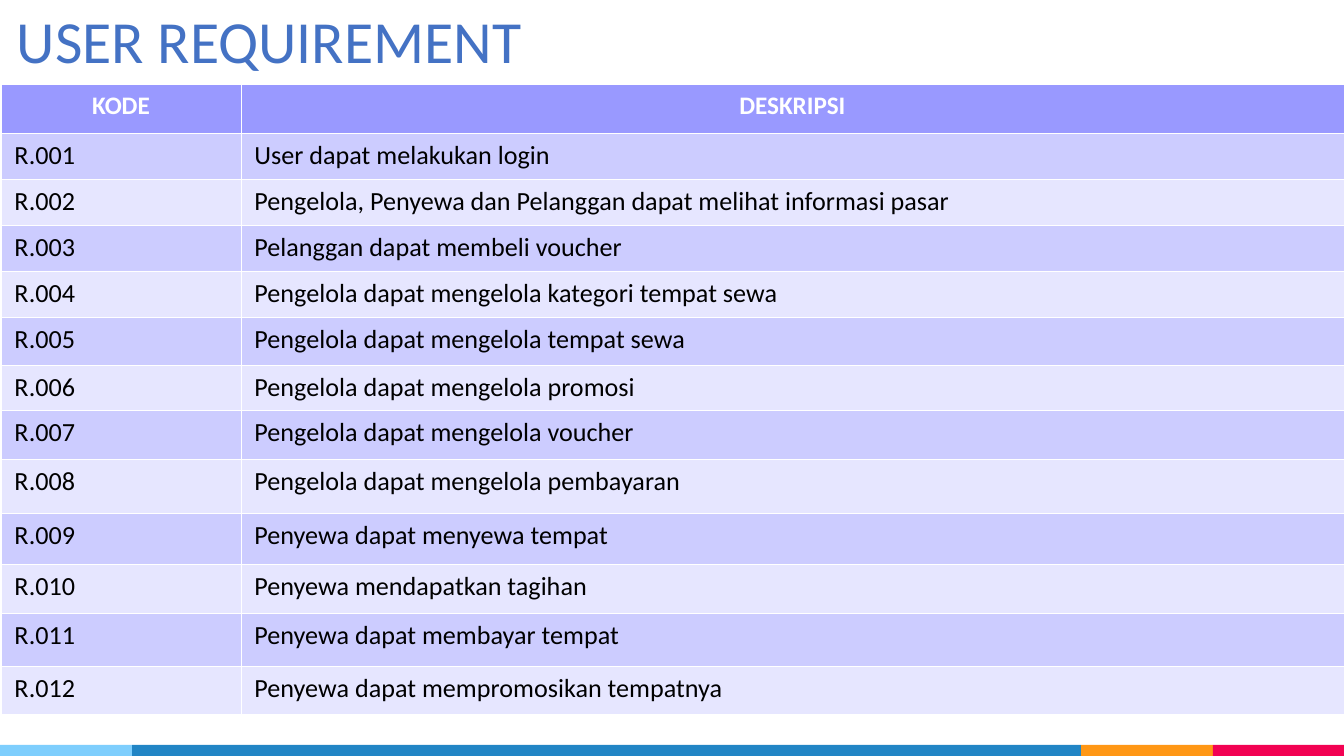
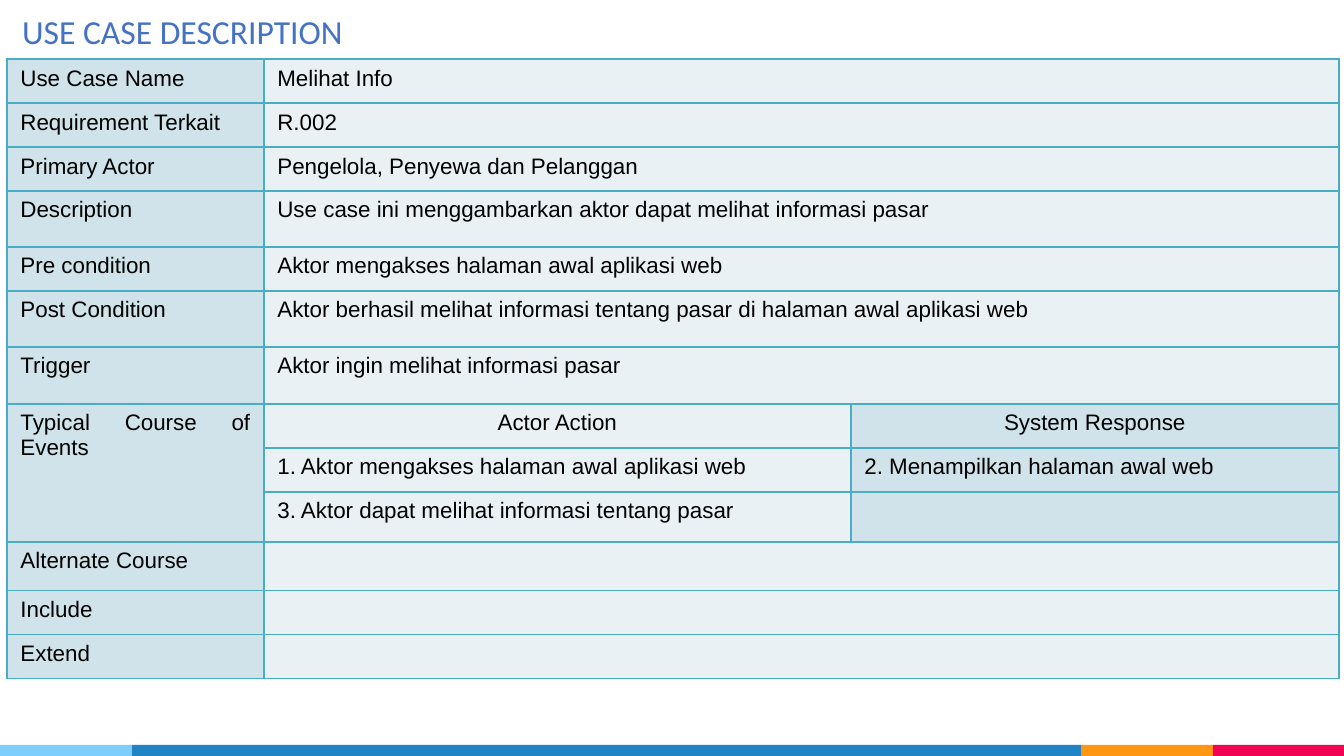
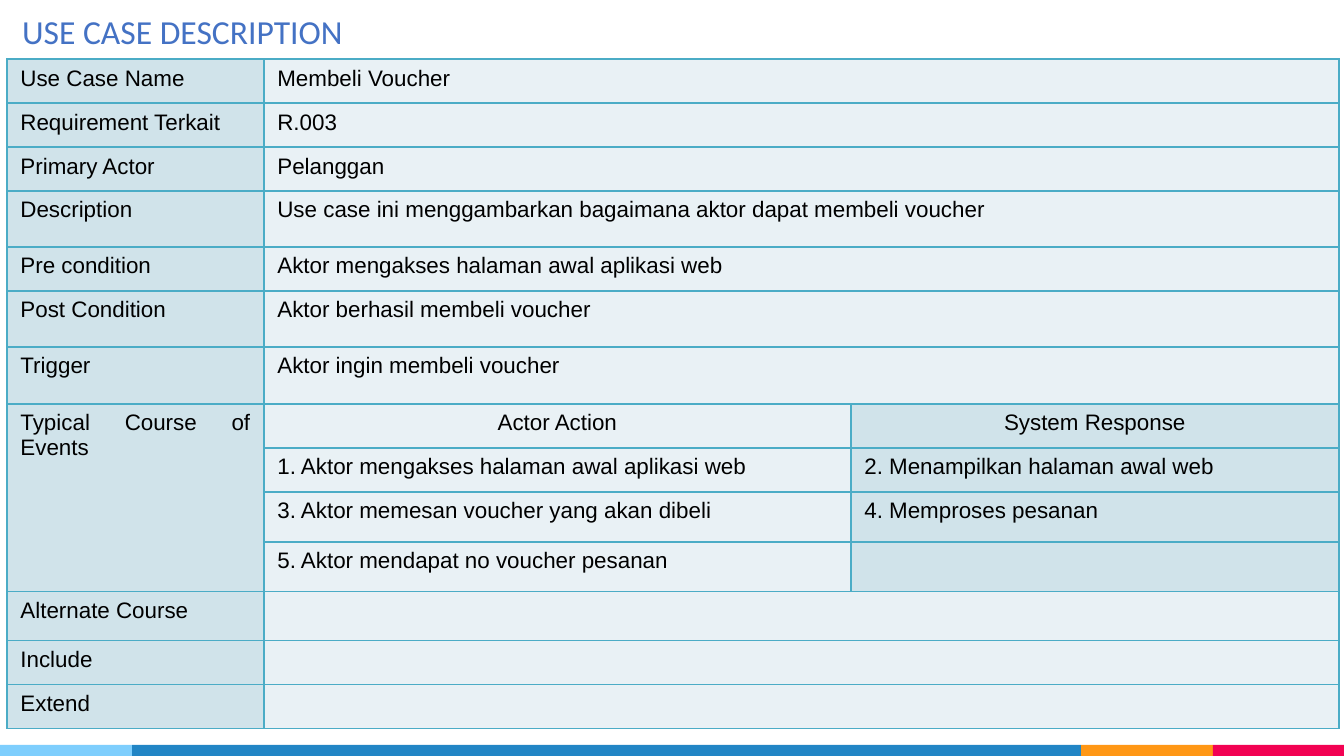
from itertools import chain

from lxml.etree import SubElement
from pptx import Presentation
from pptx.dml.color import RGBColor
from pptx.enum.shapes import MSO_SHAPE
from pptx.enum.text import MSO_ANCHOR as Anchor, MSO_AUTO_SIZE as AutoSize, PP_ALIGN as Align
from pptx.oxml.ns import qn
from pptx.util import Pt

WIDTH, HEIGHT = 1344, 756
SCALE = 9144000 / WIDTH
TITLE_COLOR, BLACK, WHITE = "4472C4", "000000", "FFFFFF"
LILAC_HEADER, LILAC_BANDS = "9999FF", ("CCCCFF", "E6E6FF")
LABEL_FILL, VALUE_FILL, CASE_BORDER = "D0E3EA", "E9F1F5", "4BACC6"
BANDS = [("7ECEFD", 132), ("2185C5", 949), ("FF9715", 132), ("F20253", 131)]

REQUIREMENTS = [
    "User dapat melakukan login",
    "Pengelola, Penyewa dan Pelanggan dapat melihat informasi pasar",
    "Pelanggan dapat membeli voucher",
    "Pengelola dapat mengelola kategori tempat sewa",
    "Pengelola dapat mengelola tempat sewa",
    "Pengelola dapat mengelola promosi",
    "Pengelola dapat mengelola voucher",
    "Pengelola dapat mengelola pembayaran",
    "Penyewa dapat menyewa tempat",
    "Penyewa mendapatkan tagihan",
    "Penyewa dapat membayar tempat",
    "Penyewa dapat mempromosikan tempatnya",
]
REQUIREMENT_HEIGHTS = [49, 46, 46, 46, 46, 48, 45, 49, 54, 51, 49, 53, 48]

# Label and row height of the use case fields before and after the events
FIELDS = [("Use Case Name", 44), ("Requirement Terkait", 44), ("Primary Actor", 44),
          ("Description", 56), ("Pre condition", 44), ("Post Condition", 56), ("Trigger", 57)]
EXTRAS = [("Alternate Course", 49), ("Include", 44), ("Extend", 44)]
FIRST_STEP = ("1. Aktor mengakses halaman awal aplikasi web", "2. Menampilkan halaman awal web")
START_PAGE = "Aktor mengakses halaman awal aplikasi web"
USE_CASES = [
    (["Melihat Info", "R.002", "Pengelola, Penyewa dan Pelanggan",
      "Use case ini menggambarkan aktor dapat melihat informasi pasar", START_PAGE,
      "Aktor berhasil melihat informasi tentang pasar di halaman awal aplikasi web",
      "Aktor ingin melihat informasi pasar"],
     [FIRST_STEP, ("3. Aktor dapat melihat informasi tentang pasar", "")]),
    (["Membeli Voucher", "R.003", "Pelanggan",
      "Use case ini menggambarkan bagaimana aktor dapat membeli voucher", START_PAGE,
      "Aktor berhasil membeli voucher", "Aktor ingin membeli voucher"],
     [FIRST_STEP, ("3. Aktor memesan voucher yang akan dibeli", "4. Memproses pesanan"),
      ("5. Aktor mendapat no voucher pesanan", "")]),
]


def px(length):
    return round(length * SCALE)


def color(value):
    return RGBColor.from_string(value)


def set_all(target, **values):
    for name, value in values.items():
        setattr(target, name, value)


class Deck:
    """Holds the shared style and the slide being built."""

    def __init__(self):
        self.presentation = Presentation()
        set_all(self.presentation, slide_width=px(WIDTH), slide_height=px(HEIGHT))
        self.fit_template()
        self.slide = None

    def fit_template(self):
        """Scale the 4:3 template's placeholders to the height of the slide."""
        master = self.presentation.slide_master
        for holder in chain(self.presentation.slide_layouts, [master]):
            for shape in holder.placeholders:
                set_all(shape, left=shape.left, width=shape.width,
                        top=round(shape.top * 0.75), height=round(shape.height * 0.75))

    def new_slide(self, title, box, size):
        first = self.slide is None
        self.slide = self.presentation.slides.add_slide(self.presentation.slide_layouts[5])
        if first:
            self.master_bands()
        shape = self.slide.shapes.title
        set_all(shape, **dict(zip(("left", "top", "width", "height"), map(px, box))))
        # Without side margins the whole title fits on one line
        set_all(shape.text_frame, word_wrap=False, auto_size=AutoSize.NONE,
                vertical_anchor=Anchor.TOP, margin_left=0, margin_right=0)
        self.text(shape.text_frame, title, Align.CENTER, "Calibri", size, TITLE_COLOR)

    def master_bands(self):
        """Draw the footer bands once and move them to the slide master."""
        left = 0
        for number, (fill, width) in enumerate(BANDS):
            band = self.slide.shapes.add_shape(
                MSO_SHAPE.RECTANGLE, px(left), px(745), px(width), px(11))
            band.shadow.inherit = False
            band.fill.solid()
            band.fill.fore_color.rgb = color(fill)
            band.line.fill.background()
            band.element.nvSpPr.cNvPr.set("id", str(100 + number))
            self.presentation.slide_master.shapes.element.append(band.element)
            left += width

    def text(self, frame, words, align, font, size, ink, bold=False):
        paragraph = frame.paragraphs[0]
        paragraph.alignment = align
        if words:
            run = paragraph.add_run()
            run.text = words
            set_all(run.font, name=font, size=Pt(size), bold=bold)
            run.font.color.rgb = color(ink)
        else:
            SubElement(paragraph._p, qn("a:endParaRPr"), sz=str(size * 100))

    def table(self, left, top, widths, heights):
        frame = self.slide.shapes.add_table(
            len(heights), len(widths), px(left), px(top), px(sum(widths)), px(sum(heights)))
        table = frame.table
        set_all(table, first_row=False, horz_banding=False)
        for column, width in zip(table.columns, widths):
            column.width = px(width)
        for row, height in zip(table.rows, heights):
            row.height = px(height)
        return table

    def cell(self, cell, words, fill, border, line_width, **style):
        properties = cell._tc.get_or_add_tcPr()
        for side in "LRTB":
            line = SubElement(properties, qn(f"a:ln{side}"), w=str(Pt(line_width)))
            SubElement(SubElement(line, qn("a:solidFill")), qn("a:srgbClr"), val=border)
        cell.fill.solid()
        cell.fill.fore_color.rgb = color(fill)
        self.text(cell.text_frame, words, **style)


def requirement_slide(deck):
    deck.new_slide("USER REQUIREMENT", (4, -3, 531, 85), 32)
    table = deck.table(1, 84, [240, 1103], REQUIREMENT_HEIGHTS)
    header = dict(align=Align.CENTER, font="Calibri", size=13.5, ink=WHITE, bold=True)
    body = dict(align=Align.LEFT, font="Calibri", size=14, ink=BLACK)
    rows = [("KODE", "DESKRIPSI")]
    rows += [(f"R.{number:03}", words) for number, words in enumerate(REQUIREMENTS, 1)]
    for i, row in enumerate(rows):
        fill = LILAC_BANDS[(i - 1) % 2] if i else LILAC_HEADER
        for j, words in enumerate(row):
            deck.cell(table.cell(i, j), words, fill, WHITE, 0.06, **(body if i else header))


def use_case_slide(deck, values, steps):
    deck.new_slide("USE CASE DESCRIPTION", (9, 4, 347, 54), 18)
    events = len(FIELDS)
    extras = events + 1 + len(steps)
    rows = [(label, value, "") for (label, _), value in zip(FIELDS, values)]
    rows += [("Typical Course of Events", "Actor Action", "System Response")]
    rows += [("", *step) for step in steps]
    rows += [(label, "", "") for label, _ in EXTRAS]
    heights = [height for _, height in FIELDS] + [44, 44] + [50] * (len(steps) - 1)
    heights += [height for _, height in EXTRAS]

    table = deck.table(7, 59, [257, 587, 488], heights)
    for i, row in enumerate(rows):
        is_event = events <= i < extras
        fills = (LABEL_FILL, VALUE_FILL, LABEL_FILL if is_event else VALUE_FILL)
        for j, (words, fill) in enumerate(zip(row, fills)):
            align = Align.CENTER if i == events and j else Align.JUSTIFY
            deck.cell(table.cell(i, j), words, fill, CASE_BORDER, 1,
                      align=align, font="Arial", size=12, ink=BLACK)
        if not is_event:
            table.cell(i, 1).merge(table.cell(i, 2))
    table.cell(events, 0).merge(table.cell(extras - 1, 0))


def main():
    deck = Deck()
    requirement_slide(deck)
    for values, steps in USE_CASES:
        use_case_slide(deck, values, steps)
    deck.presentation.save("out.pptx")


if __name__ == "__main__":
    main()
